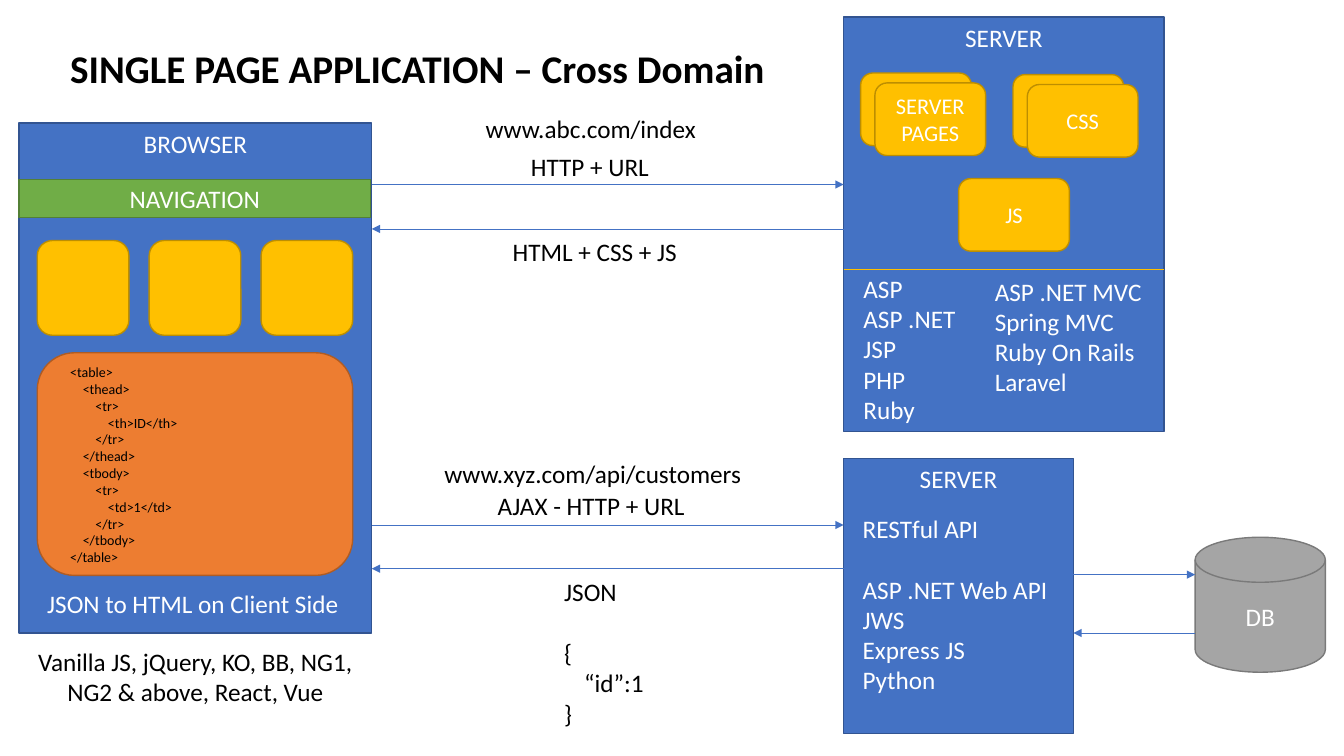
from lxml import etree
from pptx import Presentation
from pptx.dml.color import RGBColor
from pptx.enum.shapes import MSO_CONNECTOR as Conn, MSO_SHAPE as Kind
from pptx.enum.text import MSO_ANCHOR as Anchor, MSO_AUTO_SIZE as Fit, PP_ALIGN as Align
from pptx.oxml.ns import qn
from pptx.util import Cm, Pt

WHITE, BLACK = "FFFFFF", "000000"
BLUE, GOLD, ORANGE = ("4472C4", "325491"), ("FFC000", "BD8E00"), ("ED7D31", "AF5C24")
GREEN, GREY = ("70AD47", "538035"), ("A5A5A5", "7A7A7A")


def rgb(code):
    return RGBColor.from_string(code)


class Board:
    font = "Calibri"
    gap = 22  # one empty line, in points

    def __init__(self, slide):
        self.slide = slide

    def fill(self, frame, lines, size, color, align, bold=False, gaps=(), tab=None):
        for i, line in enumerate(lines):
            par = frame.paragraphs[0] if i == 0 else frame.add_paragraph()
            par.add_run().text = line
            par.alignment = align
            if i in gaps:
                par.space_before = Pt(self.gap)
            if tab and line.startswith("\t"):
                stops = etree.SubElement(par._p.get_or_add_pPr(), qn("a:tabLst"))
                etree.SubElement(stops, qn("a:tab"), pos=str(Cm(tab)), algn="l")
            font = par.font
            font.name, font.size, font.bold = self.font, Pt(size), bold
            font.color.rgb = rgb(color)

    def box(self, x, y, w, h, paint, text="", kind=Kind.RECTANGLE, size=18, anchor=Anchor.MIDDLE):
        shape = self.slide.shapes.add_shape(kind, Cm(x), Cm(y), Cm(w), Cm(h))
        shape.shadow.inherit = False
        shape.fill.solid()
        shape.fill.fore_color.rgb = rgb(paint[0])
        shape.line.color.rgb = rgb(paint[1])
        shape.line.width = Pt(1)
        if text:
            shape.text_frame.vertical_anchor = anchor
            self.fill(shape.text_frame, [text], size, WHITE, Align.CENTER)

    def tile(self, x, y, text="", w=2.79, h=1.83, paint=GOLD):
        self.box(x, y, w, h, paint, text, Kind.ROUNDED_RECTANGLE, 16)

    def text(self, x, y, w, h, *lines, size=18, color=BLACK, align=Align.LEFT, wrap=False, **more):
        frame = self.slide.shapes.add_textbox(Cm(x), Cm(y), Cm(w), Cm(h)).text_frame
        frame.word_wrap = wrap
        frame.auto_size = Fit.SHAPE_TO_FIT_TEXT
        self.fill(frame, lines, size, color, align, **more)

    def line(self, start, end, y, color=BLUE[0], arrow=True):
        link = self.slide.shapes.add_connector(Conn.STRAIGHT, Cm(start), Cm(y), Cm(end), Cm(y))
        link.line.color.rgb = rgb(color)
        link.line.width = Pt(0.5)
        props = link._element.spPr
        if arrow:
            etree.SubElement(props.find(qn("a:ln")), qn("a:tailEnd"), type="triangle")
        etree.SubElement(props, qn("a:effectLst"))


def main():
    deck = Presentation()
    deck.slide_width, deck.slide_height = Cm(33.87), Cm(19.05)
    board = Board(deck.slides.add_slide(deck.slide_layouts[6]))

    # Title
    board.text(1.52, 0.99, 18.21, 1.45, "SINGLE PAGE APPLICATION – Cross Domain", size=28, bold=True)

    # Web server
    board.box(21.26, 0.43, 8.08, 10.44, BLUE, "SERVER", anchor=Anchor.TOP)
    board.text(21.51, 6.76, 3.07, 4.11, "ASP", "ASP .NET", "JSP", "PHP", "Ruby", color=WHITE)
    board.text(24.82, 6.83, 4.52, 3.33, "ASP .NET MVC", "Spring MVC", "Ruby On Rails", "Laravel",
               color=WHITE, wrap=True)
    board.line(21.26, 29.34, 6.78, GOLD[0], arrow=False)
    for x, y, name in ((21.69, 1.84, "SERVER PAGES"), (25.53, 1.88, "CSS")):
        board.tile(x, y)
        board.tile(x + 0.36, y + 0.25, name)
    board.tile(24.16, 4.5, "JS")

    # Browser
    board.box(0.48, 3.1, 8.89, 12.85, BLUE, "BROWSER", anchor=Anchor.TOP)
    board.box(0.48, 4.52, 8.86, 0.97, GREEN, "NAVIGATION")
    for i in range(3):
        board.tile(0.94 + i * 2.82, 6.06, w=2.31, h=2.39)
    board.tile(0.94, 8.89, w=7.95, h=5.61, paint=ORANGE)
    board.text(1.52, 9.04, 6.2, 5.38,
               "<table>",
               "    <thead>",
               "        <tr>",
               "            <th>ID</th>",
               "        </tr>",
               "    </thead>",
               "    <tbody>",
               "        <tr>",
               "            <td>1</td>",
               "        </tr>",
               "    </tbody>",
               "</table>", size=10, wrap=True)
    board.text(0.94, 14.71, 7.95, 1.02, "JSON to HTML on Client Side", color=WHITE)
    board.text(0.66, 16.15, 8.53, 1.8, "Vanilla JS, jQuery, KO, BB, NG1,", "NG2 & above, React, Vue",
               align=Align.CENTER)

    # API server and database
    board.box(21.26, 11.56, 5.79, 6.93, BLUE, "SERVER", anchor=Anchor.TOP)
    board.text(21.49, 12.8, 5.54, 4.88, "RESTful API", "ASP .NET Web API", "JWS", "Express JS",
               "Python", color=WHITE, gaps=(1,))
    board.box(30.12, 13.54, 3.28, 3.4, GREY, "DB", Kind.FLOWCHART_MAGNETIC_DISK)

    # Requests and replies
    for left, right, ask, reply in ((9.37, 21.26, 4.65, 5.77), (9.37, 21.26, 13.23, 14.33),
                                    (27.05, 30.12, 14.48, 15.95)):
        board.line(left, right, ask)
        board.line(right, left, reply)
    for x, y, w, label in ((11.99, 2.72, 5.87, "www.abc.com/index"),
                           (13.13, 3.68, 3.53, "HTTP + URL"),
                           (12.67, 5.82, 4.7, "HTML + CSS + JS"),
                           (10.95, 11.43, 8.05, "www.xyz.com/api/customers"),
                           (12.29, 12.24, 5.28, "AJAX - HTTP + URL")):
        board.text(x, y, w, 1.02, label)
    board.text(13.97, 14.4, 2.54, 4.11, "JSON", "{", "\t“id”:1", "}", gaps=(1,), tab=0.5)

    deck.save("out.pptx")


if __name__ == "__main__":
    main()
